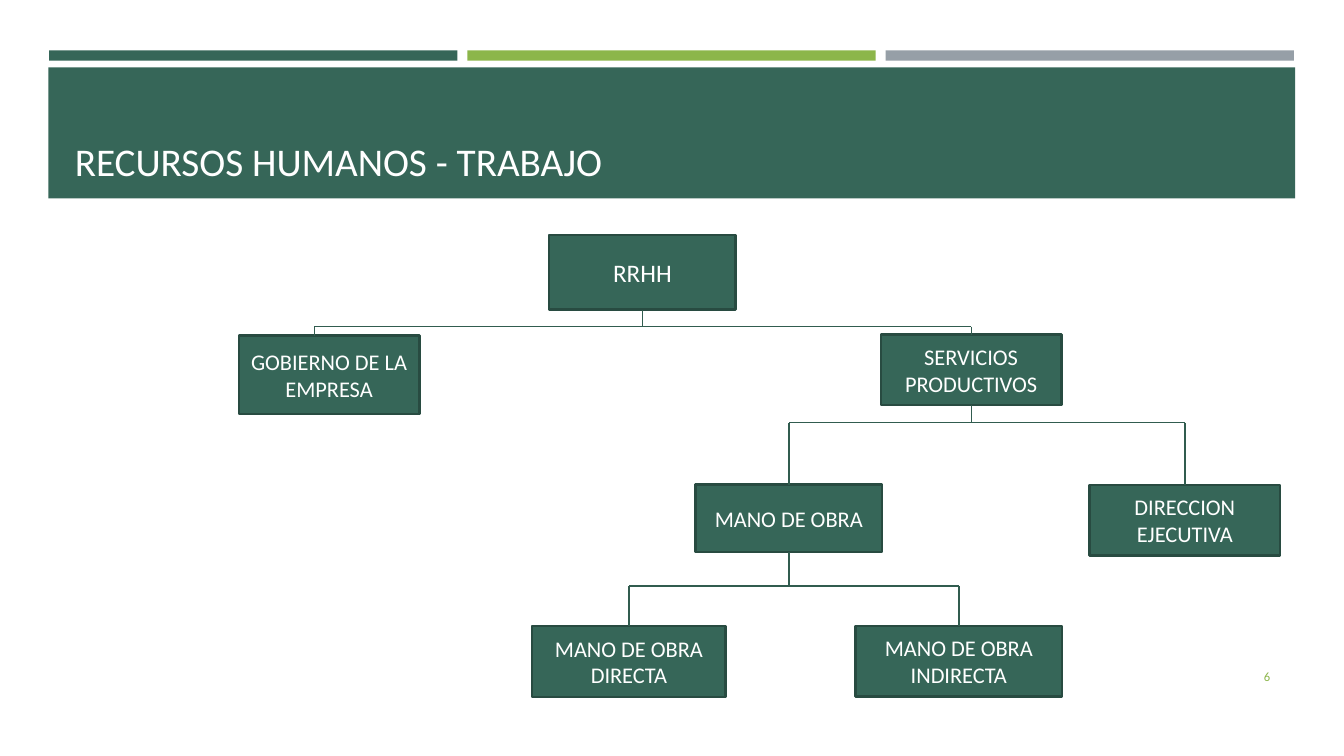
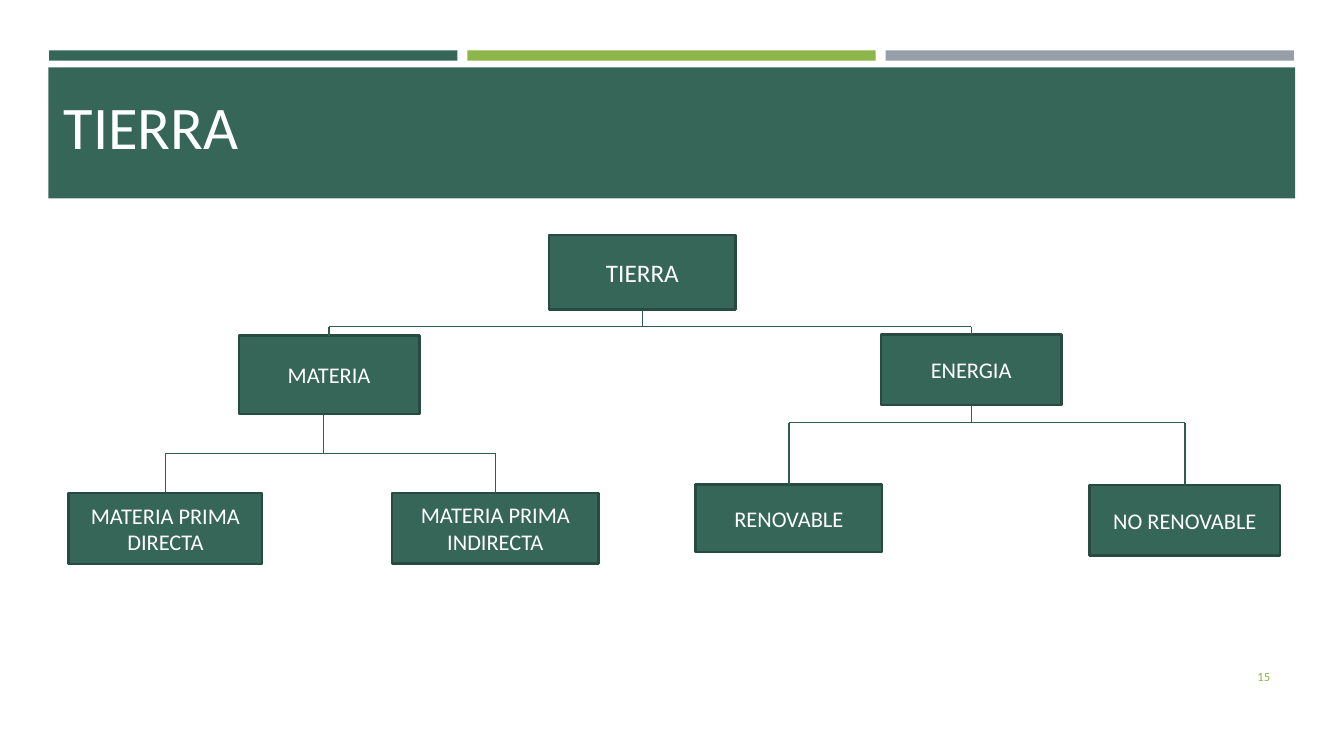
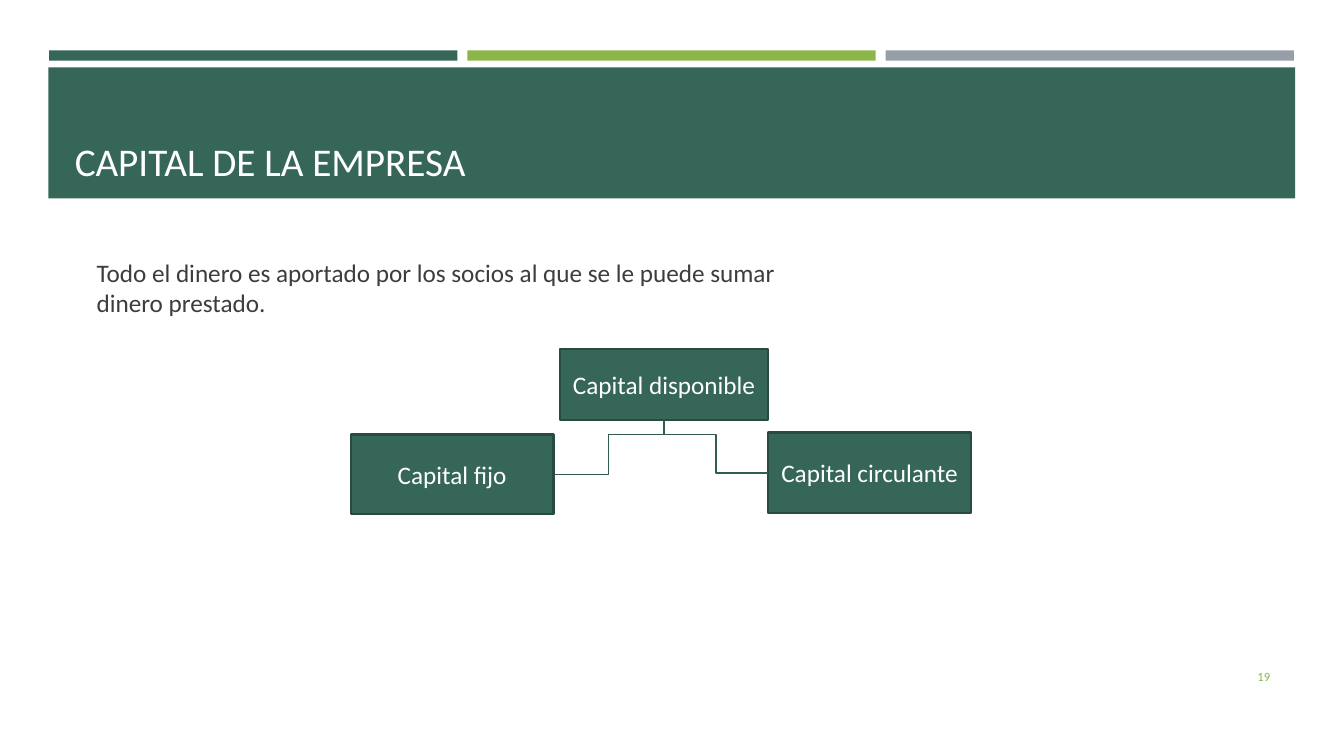
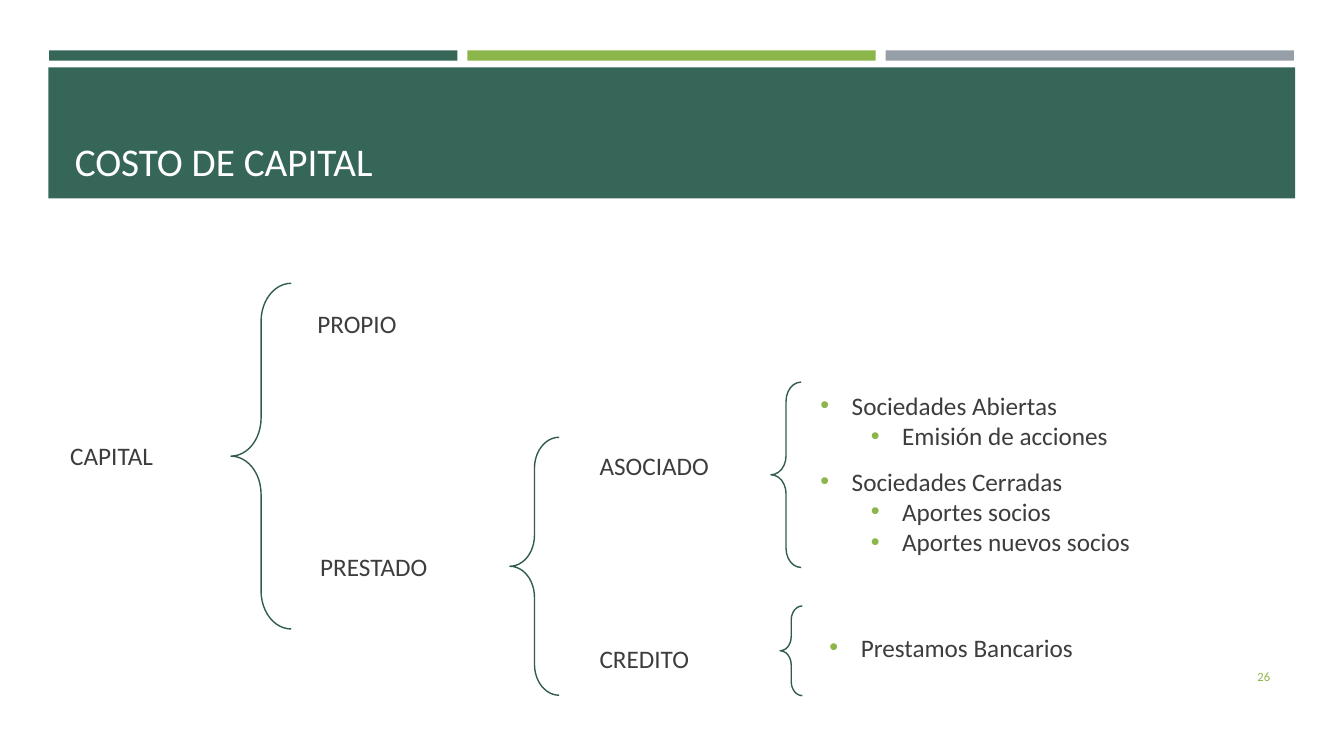
import lxml.etree
import pptx
import pptx.dml.color
import pptx.enum.shapes
import pptx.enum.text
import pptx.oxml.ns
import pptx.util

FONT = "Calibri"
COLORS = {
    "green": "366658",
    "edge": "284B41",
    "line": "315C4F",
    "lime": "8CB64A",
    "gray": "969FA7",
    "text": "3D3D3D",
    "white": "FFFFFF",
}
SHAPE = pptx.enum.shapes.MSO_SHAPE
CONNECTOR = pptx.enum.shapes.MSO_CONNECTOR
ALIGN = pptx.enum.text.PP_ALIGN
ANCHOR = pptx.enum.text.MSO_ANCHOR
TITLE_BOX = (1.63, 1.96, 30.63, 2.82)
TOP, LEFT, BOTTOM, RIGHT = range(4)  # connection sites of a rectangle


def cm(*lengths):
    return [pptx.util.Cm(v) for v in lengths]


def rgb(name):
    return pptx.dml.color.RGBColor.from_string(COLORS[name])


def place(sp, box):
    sp.left, sp.top, sp.width, sp.height = cm(*box)


def write(p, text, size, color, align=ALIGN.LEFT):
    p.alignment = align
    r = p.add_run()
    r.text = text
    r.font.name = FONT
    r.font.size = pptx.util.Pt(size)
    r.font.color.rgb = rgb(color)


def add_text(s, box, text, size, color, align=ALIGN.LEFT, anchor=ANCHOR.TOP):
    tf = s.shapes.add_textbox(*cm(*box)).text_frame
    tf.word_wrap = True
    tf.vertical_anchor = anchor
    write(tf.paragraphs[0], text, size, color, align)


def add_rect(s, box, fill):
    sp = s.shapes.add_shape(SHAPE.RECTANGLE, *cm(*box))
    sp.shadow.inherit = False
    sp.fill.solid()
    sp.fill.fore_color.rgb = rgb(fill)
    sp.line.fill.background()
    return sp


def add_node(s, box, text, size=16):
    sp = add_rect(s, box, "green")
    sp.line.color.rgb = rgb("edge")
    sp.line.width = pptx.util.Pt(1.75)
    tf = sp.text_frame
    tf.word_wrap = True
    tf.vertical_anchor = ANCHOR.MIDDLE
    write(tf.paragraphs[0], text, size, "white", ALIGN.CENTER)
    return sp


def add_line(s, x1, y1, x2, y2, kind=CONNECTOR.STRAIGHT):
    line = s.shapes.add_connector(kind, *[int(v) for v in (x1, y1, x2, y2)])
    line.line.color.rgb = rgb("line")
    line.line.width = pptx.util.Pt(1)
    lxml.etree.SubElement(line._element.spPr, pptx.oxml.ns.qn("a:effectLst"))
    return line


def add_branch(s, parent, children, bus, stem_shift=0, first_shift=0):
    """Join parent to children through a horizontal bus; shifts move a line off centre."""
    bus, stem_shift, first_shift = cm(bus, stem_shift, first_shift)
    stem = parent.left + parent.width // 2 + stem_shift
    line = add_line(s, stem, parent.top + parent.height, stem, bus)
    if not stem_shift:
        line.begin_connect(parent, BOTTOM)
    for child, shift in zip(children, (first_shift, 0)):
        x = child.left + child.width // 2 + shift
        add_line(s, stem, bus, x, bus)
        line = add_line(s, x, bus, x, child.top)
        if not shift:
            line.end_connect(child, TOP)


def add_org_chart(s, x, y, labels, pair_at, pair_under, left_shift=0, pair_shift=0):
    """Five fixed nodes, plus a pair of leaves at pair_at under the node pair_under."""
    pair_x, pair_y = pair_at
    slots = {
        "root": (12.11, 0, 4.7, 1.88),
        "left": (4.29, 2.54, 4.55, 1.98),
        "right": (20.47, 2.51, 4.55, 1.78),
        "right_a": (15.8, 6.29, 4.7, 1.7),
        "right_b": (25.73, 6.3, 4.8, 1.78),
        "pair_a": (pair_x, pair_y, 4.88, 1.8),
        "pair_b": (pair_x + 8.15, pair_y, 5.21, 1.78),
    }
    nodes = {}
    for (name, (dx, dy, w, h)), label in zip(slots.items(), labels):
        size = 18 if name == "root" else 16
        nodes[name] = add_node(s, (x + dx, y + dy, w, h), label, size)
    add_branch(s, nodes["root"], (nodes["left"], nodes["right"]), y + 2.31,
               first_shift=left_shift)
    add_branch(s, nodes["right"], (nodes["right_a"], nodes["right_b"]), y + 4.73)
    add_branch(s, nodes[pair_under], (nodes["pair_a"], nodes["pair_b"]),
               y + pair_y - 1, stem_shift=pair_shift)


def add_capital_chart(s, x, y):
    top = add_node(s, (x + 5.28, y, 5.23, 1.8), "Capital disponible", 18)
    fixed = add_node(s, (x, y + 2.16, 5.11, 2.01), "Capital fijo", 18)
    current = add_node(s, (x + 10.52, y + 2.11, 5.11, 2.03), "Capital circulante", 18)
    middle = top.left + top.width // 2
    bus = pptx.util.Cm(y + 2.16)
    add_line(s, middle, top.top + top.height, middle, bus).begin_connect(top, BOTTOM)
    for node, end in ((fixed, fixed.left + fixed.width), (current, current.left)):
        add_line(s, middle, bus, end, node.top + node.height // 2, CONNECTOR.ELBOW)


def set_bullet(p, level=None):
    """Give a lime bullet at the level, or no bullet when there is no level."""
    pPr = p._p.get_or_add_pPr()
    qn = pptx.oxml.ns.qn
    margin, hang = (0, 0) if level is None else (0.79 + 1.27 * level, -0.79)
    pPr.set("marL", str(pptx.util.Cm(margin)))
    pPr.set("indent", str(pptx.util.Cm(hang)))
    if level is None:
        lxml.etree.SubElement(pPr, qn("a:buNone"))
        return
    p.level = level
    color = lxml.etree.SubElement(pPr, qn("a:buClr"))
    lxml.etree.SubElement(color, qn("a:srgbClr"), val=COLORS["lime"])
    lxml.etree.SubElement(pPr, qn("a:buFont"), typeface="Arial")
    lxml.etree.SubElement(pPr, qn("a:buChar"), char="•")


def fill_body(sp, box, items):
    """Write (text, level) items; each later top item starts a new group."""
    place(sp, box)
    tf = sp.text_frame
    tf.word_wrap = True
    tf.auto_size = pptx.enum.text.MSO_AUTO_SIZE.NONE
    tf.vertical_anchor = ANCHOR.TOP
    for i, (text, level) in enumerate(items):
        p = tf.add_paragraph() if i else tf.paragraphs[0]
        set_bullet(p, level)
        p.space_before = pptx.util.Pt(11 if i and level == 0 else 0)
        write(p, text, 18, "text")


def add_brace_tree(s, x, y):
    for dx, dy, w, h in ((4.3, 0, 1.52, 8.71), (11.33, 3.88, 1.24, 6.5),
                         (17.91, 2.49, 0.76, 4.67), (18.14, 8.13, 0.56, 2.26)):
        brace = s.shapes.add_shape(SHAPE.LEFT_BRACE, *cm(x + dx, y + dy, w, h))
        brace.adjustments[0] = 0.63
        brace.shadow.inherit = False
        brace.fill.background()
        brace.line.color.rgb = rgb("line")
        brace.line.width = pptx.util.Pt(1)
    for text, dx, dy in (("CAPITAL", 0, 3.83), ("PROPIO", 6.23, 0.51),
                         ("PRESTADO", 6.3, 6.63), ("ASOCIADO", 13.34, 4.09),
                         ("CREDITO", 13.34, 8.94)):
        add_text(s, (x + dx, y + dy, 3.81, 1.02), text, 18, "text")
    fill_body(s.placeholders[1], (x + 18.9, y + 2.56, 9.14, 5.23), [
        ("Sociedades Abiertas", 0), ("Emisión de acciones", 1),
        ("Sociedades Cerradas", 0), ("Aportes socios", 1),
        ("Aportes nuevos socios", 1)])
    fill_body(s.placeholders[2], (x + 19.13, y + 8.66, 7.14, 1.02),
              [("Prestamos Bancarios", 0)])


def dress_master(prs, s):
    """Draw the bands on slide s, then move them behind everything on the master."""
    bands = [add_rect(s, (1.24 + 10.54 * i, 1.27, 10.29, 0.26), fill)
             for i, fill in enumerate(("green", "lime", "gray"))]
    bands.append(add_rect(s, (1.22, 1.7, 31.42, 3.3), "green"))
    master = prs.slide_master
    for i, band in enumerate(bands):
        band._element.nvSpPr.cNvPr.id = 101 + i
        master.shapes._spTree.insert(2 + i, band._element)
    place(master.placeholders[0], TITLE_BOX)


def set_heading(s, title, number, box=TITLE_BOX, size=28, anchor=ANCHOR.BOTTOM):
    place(s.shapes.title, box)
    tf = s.shapes.title.text_frame
    tf.auto_size = pptx.enum.text.MSO_AUTO_SIZE.NONE
    tf.vertical_anchor = anchor
    write(tf.paragraphs[0], title, size, "white")
    add_text(s, (29.34, 16.54, 2.92, 1.02), number, 9, "lime",
             ALIGN.RIGHT, ANCHOR.MIDDLE)


def main():
    prs = pptx.Presentation()
    prs.slide_width, prs.slide_height = cm(33.87, 19.05)
    one_body, two_bodies, title_only = (prs.slide_layouts[i] for i in (1, 3, 5))
    labor, land, capital, cost = (
        prs.slides.add_slide(layout)
        for layout in (title_only, title_only, one_body, two_bodies))
    dress_master(prs, labor)

    set_heading(labor, "RECURSOS HUMANOS - TRABAJO", "6")
    add_org_chart(labor, 1.73, 5.92, (
        "RRHH", "GOBIERNO DE LA EMPRESA", "SERVICIOS PRODUCTIVOS", "MANO DE OBRA",
        "DIRECCION EJECUTIVA", "MANO DE OBRA DIRECTA", "MANO DE OBRA INDIRECTA"),
        (11.68, 9.85), "right_a", left_shift=-0.37)

    set_heading(land, "TIERRA", "15", (1.35, 1.9, 30.63, 2.5), 43.2, ANCHOR.MIDDLE)
    add_org_chart(land, 1.73, 5.92, (
        "TIERRA", "MATERIA", "ENERGIA", "RENOVABLE", "NO RENOVABLE",
        "MATERIA PRIMA DIRECTA", "MATERIA PRIMA INDIRECTA"),
        (0, 6.5), "left", pair_shift=-0.14)

    set_heading(capital, "CAPITAL DE LA EMPRESA", "19")
    fill_body(capital.placeholders[1], (2.18, 6.35, 18.87, 1.8), [
        ("Todo el dinero es aportado por los socios al que se le puede sumar "
         "dinero prestado.", None)])
    add_capital_chart(capital, 8.84, 8.79)

    set_heading(cost, "COSTO DE CAPITAL", "26")
    add_brace_tree(cost, 1.52, 7.14)
    prs.save("out.pptx")


if __name__ == "__main__":
    main()
